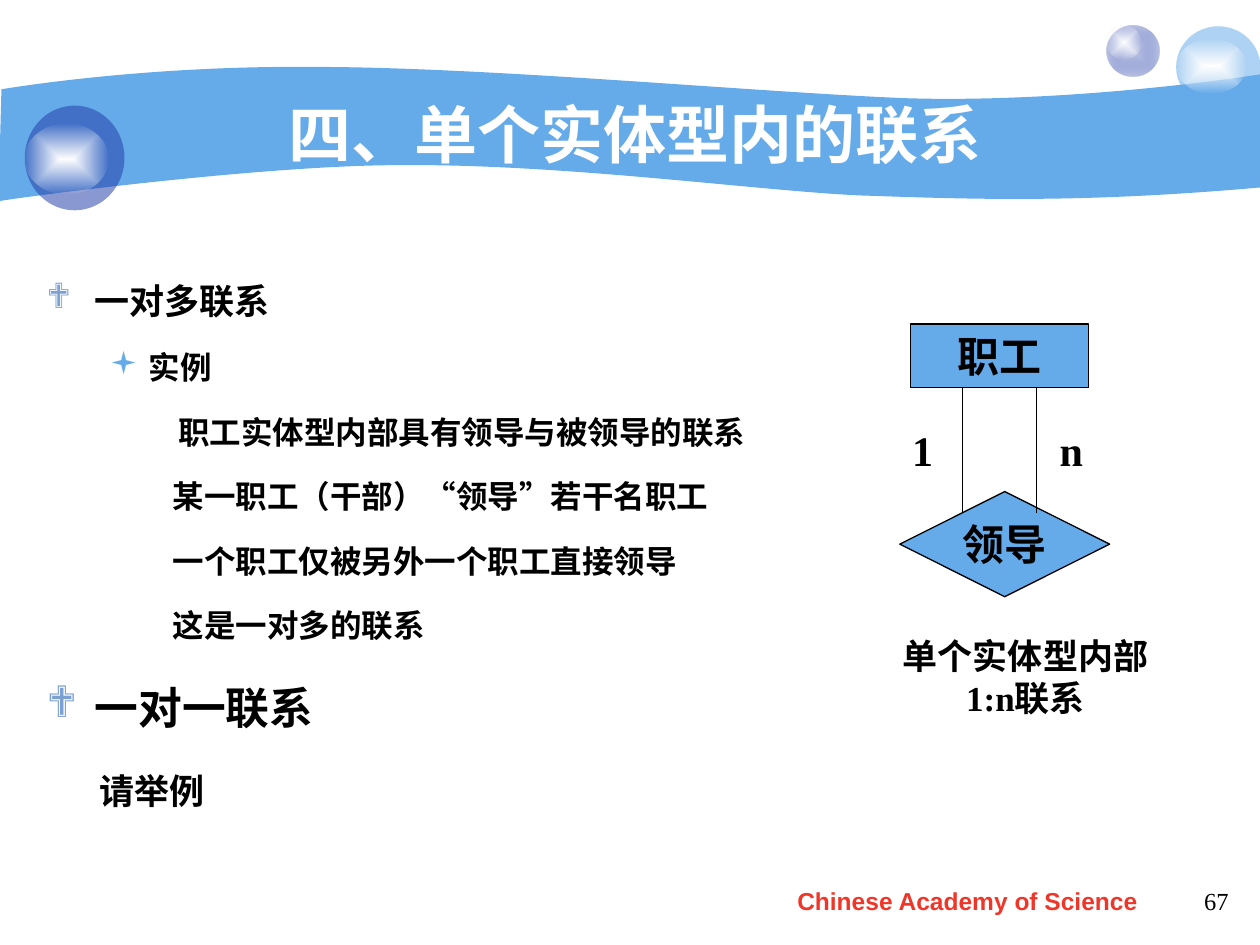
from pptx import Presentation
from pptx.util import Cm, Pt
from pptx.dml.color import RGBColor
from pptx.enum.shapes import MSO_SHAPE, MSO_CONNECTOR
from pptx.enum.text import PP_ALIGN, MSO_ANCHOR
from pptx.oxml import parse_xml
from pptx.oxml.ns import qn
from lxml.etree import SubElement

NS = 'xmlns:a="http://schemas.openxmlformats.org/drawingml/2006/main"'
HUES = {"sky": "65AAE9", "navy": "233DA9", "mist": "C6CCE8", "steel": "7DA0D3",
        "white": "FFFFFF", "pearl": "FEFEFE", "black": "000000", "red": "F03628"}
ARIAL, TIMES = "Arial", "Times New Roman"
LEFT, MID, RIGHT = PP_ALIGN.LEFT, PP_ALIGN.CENTER, PP_ALIGN.RIGHT

# Wave band in cm: upper and lower edge, each a start and three points a curve
WAVE = [
    [(0.03, 1.8),
     (0.05, 1.8), (2.79, 1.32), (6.3, 1.35),
     (9.8, 1.35), (15.11, 1.85), (18.24, 1.98),
     (21.36, 2.08), (24.79, 1.6), (25.4, 1.5)],
    [(25.4, 3.78),
     (21.67, 4.11), (19.43, 4.01), (17.32, 3.94),
     (15.21, 3.84), (11.35, 3.3), (8.05, 3.33),
     (5.16, 3.33), (-0.05, 4.04), (-0.03, 4.06)],
]

# Orbs: box in cm, then colour stops as (hue, opacity %) from centre to edge
GLOW = [("white", 100), ("pearl", 0)]
ORBS = [
    ((22.3, 0.52, 1.07, 1.02), [("mist", 100), ("navy", 31)]),
    ((22.3, 0.52, 0.71, 0.69), GLOW),
    ((23.71, 0.53, 1.7, 1.65), [("sky", 53)]),
    ((23.71, 0.79, 1.42, 1.09), GLOW),
    ((0.5, 2.13, 2.01, 2.11), [("navy", 53)]),
    ((0.5, 2.49, 1.68, 1.42), GLOW),
]

# Body: text, size, font, space before, left margin in cm, hang in cm, bullet
DOT, BOX = ("❖", "steel"), ("▪", "sky")
BODY = [
    ("一对多联系", 20, ARIAL, 0, 0.97, 0.97, DOT),
    ("实例", 18, ARIAL, 4.5, 2.06, 0.79, BOX),
    ("职工实体型内部具有领导与被领导的联系", 18, ARIAL, 4.5, 3.29, 0.64, None),
    ("某一职工（干部）“领导”若干名职工", 18, ARIAL, 4.5, 3.18, 0.64, None),
    ("一个职工仅被另外一个职工直接领导", 18, ARIAL, 4.5, 3.18, 0.64, None),
    ("这是一对多的联系", 18, ARIAL, 4.5, 3.18, 0.64, None),
    ("一对一联系", 25, TIMES, 6.2, 0.97, 0.97, DOT),
    ("请举例", 20, ARIAL, 8.5, 1.07, 0, None),
]

# Diagram: nodes, then the two links between them
NODES = [("职工", MSO_SHAPE.RECTANGLE, (18.35, 6.53, 3.6, 1.28), MSO_ANCHOR.TOP),
         ("领导", MSO_SHAPE.DIAMOND, (18.14, 9.91, 4.23, 2.12), MSO_ANCHOR.MIDDLE)]
LINKS, TOP, END = [19.4, 20.89], 7.81, 10.34

# Labels: text, box, size, font, hue, bold, alignment
LABELS = [
    ("1", (18.14, 8.43, 1.07, 1.27), 24, TIMES, "black", True, LEFT),
    ("n", (21.11, 8.43, 1.07, 1.27), 24, TIMES, "black", True, LEFT),
    ("单个实体型内部1:n联系", (17.5, 12.67, 6.35, 1.96), 20, TIMES, "black", True, MID),
    ("Chinese Academy of Science", (14.5, 17.73, 10.01, 0.89), 14, ARIAL, "red", True, MID),
    ("67", (19.1, 17.73, 5.92, 1.32), 14, TIMES, "black", False, RIGHT),
]


def rgb(hue):
    return RGBColor.from_string(HUES[hue])


def style(para, size, face, hue, bold=True, align=LEFT):
    para.alignment = align
    for run in para.runs:
        font = run.font
        font.size, font.name, font.bold = Pt(size), face, bold
        font.color.rgb = rgb(hue)


def frame(box, anchor=MSO_ANCHOR.TOP):
    area = slide.shapes.add_textbox(*map(Cm, box)).text_frame
    area.word_wrap, area.vertical_anchor = True, anchor
    return area


def paint(shape, hue):
    shape.shadow.inherit = False
    shape.fill.solid()
    shape.fill.fore_color.rgb = rgb(hue)
    shape.line.fill.background()


def plain(kind, box, hue):
    shape = slide.shapes.add_shape(kind, *map(Cm, box))
    paint(shape, hue)
    return shape


def tint(hue, alpha):
    return (f'<a:srgbClr val="{HUES[hue]}"><a:alpha val="{alpha * 1000}"/>'
            '</a:srgbClr>')


def blend(shape, stops):
    if len(stops) == 1:
        xml = f'<a:solidFill {NS}>{tint(*stops[0])}</a:solidFill>'
    else:
        marks = "".join(f'<a:gs pos="{i * 100000}">{tint(*s)}</a:gs>'
                        for i, s in enumerate(stops))
        xml = (f'<a:gradFill {NS} rotWithShape="1"><a:gsLst>{marks}</a:gsLst>'
               '<a:path path="rect"><a:fillToRect l="50000" t="50000" '
               'r="50000" b="50000"/></a:path></a:gradFill>')
    props = shape._element.spPr
    props.replace(props.find(qn("a:solidFill")), parse_xml(xml))


def bend(shape, edge):
    """Turn each three segments of an edge into one cubic curve."""
    segs = list(shape._element.iter(qn("a:lnTo")))
    for first in (0, edge):
        for i in range(first, first + edge - 1, 3):
            cubic = parse_xml(f'<a:cubicBezTo {NS}/>')
            segs[i].addprevious(cubic)
            for seg in segs[i:i + 3]:
                cubic.append(seg[0])
                seg.getparent().remove(seg)


def bullet(para, left, hang, mark):
    props = para._p.get_or_add_pPr()
    props.set("marL", str(Cm(left)))
    props.set("indent", str(-Cm(hang)))
    if mark:
        sign, hue = mark
        SubElement(SubElement(props, qn("a:buClr")), qn("a:srgbClr"), val=HUES[hue])
        SubElement(props, qn("a:buFont"), typeface="Wingdings", charset="2")
        SubElement(props, qn("a:buChar"), char=sign)
    else:
        SubElement(props, qn("a:buNone"))


deck = Presentation()
deck.slide_width, deck.slide_height = Cm(25.4), Cm(19.05)
slide = deck.slides.add_slide(deck.slide_layouts[6])

# Wave band
dots = [(Cm(x), Cm(y)) for edge in WAVE for x, y in edge]
build = slide.shapes.build_freeform(*dots[0])
build.add_line_segments(dots[1:], close=True)
band = build.convert_to_shape()
bend(band, len(WAVE[0]))
paint(band, "sky")

# Orbs
for box, stops in ORBS:
    blend(plain(MSO_SHAPE.OVAL, box, "sky"), stops)

# Title
title = frame((2.54, 1.9, 20.52, 1.57), MSO_ANCHOR.MIDDLE)
title.text = "四、单个实体型内的联系"
style(title.paragraphs[0], 36, ARIAL, "white", align=MID)

# Body
body = frame((0.69, 5.08, 16.46, 12.07))
for i, (text, size, face, gap, left, hang, mark) in enumerate(BODY):
    para = body.add_paragraph() if i else body.paragraphs[0]
    para.text = text
    bullet(para, left, hang, mark)
    para.line_spacing, para.space_before = 1.5, Pt(gap)
    style(para, size, face, "black")

# Diagram
for text, kind, box, anchor in NODES:
    node = plain(kind, box, "sky")
    node.line.color.rgb, node.line.width = rgb("black"), Pt(0.75)
    area = node.text_frame
    area.text, area.vertical_anchor = text, anchor
    area.word_wrap = kind == MSO_SHAPE.RECTANGLE
    style(area.paragraphs[0], 24, TIMES, "black", align=MID)
for x in LINKS:
    link = slide.shapes.add_connector(MSO_CONNECTOR.STRAIGHT,
                                      Cm(x), Cm(TOP), Cm(x), Cm(END))
    link.line.color.rgb, link.line.width = rgb("black"), Pt(0.75)
    SubElement(link._element.spPr, qn("a:effectLst"))

# Labels and footer
for text, box, *look in LABELS:
    area = frame(box)
    area.text = text
    style(area.paragraphs[0], *look)

deck.save("out.pptx")
